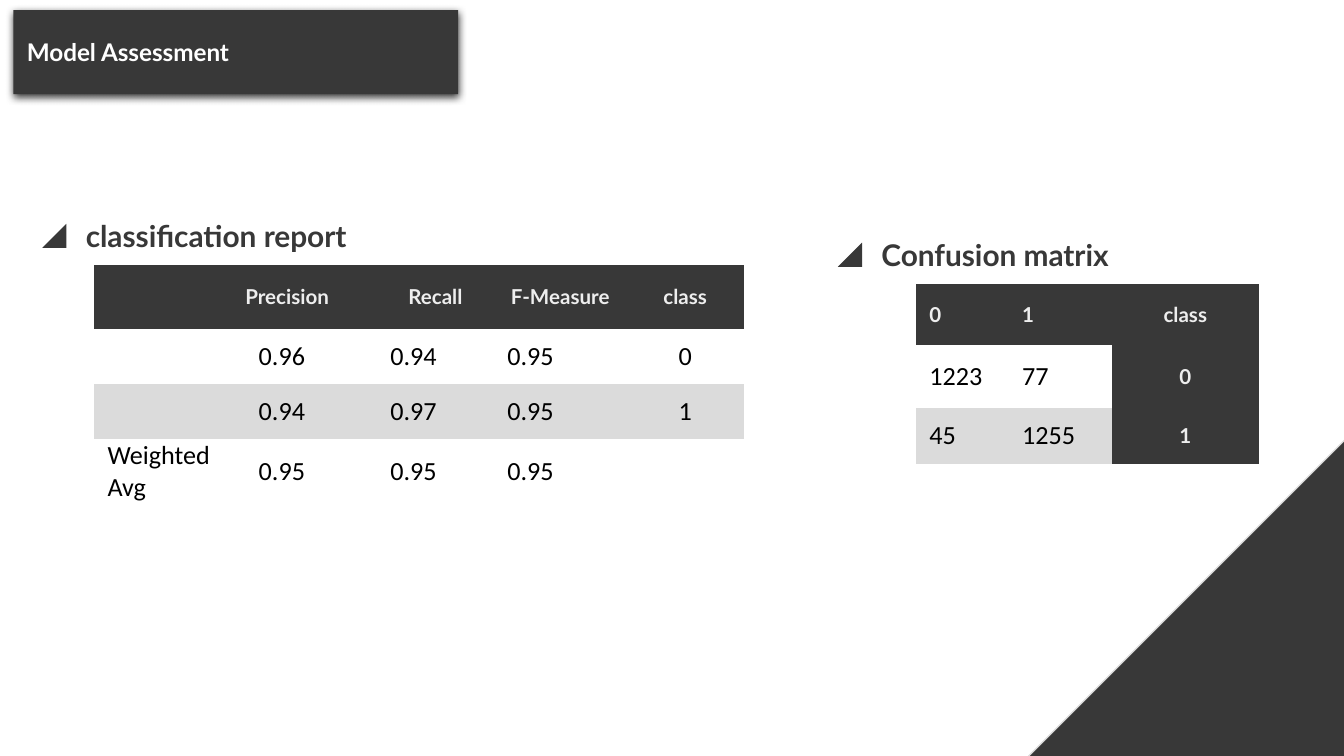
from lxml import etree
from pptx import Presentation
from pptx import util as u
from pptx.dml.color import RGBColor
from pptx.enum import shapes, text
from pptx.oxml import parse_xml
from pptx.oxml.ns import nsdecls, qn

# The slide is a grid of 100 columns by 56.25 rows, each a tenth of an inch
COLUMNS, ROWS = 100, 56.25
DARK, BAND, WHITE = "383838", "DBDBDB", "FFFFFF"
LEFT, CENTER = text.PP_ALIGN.LEFT, text.PP_ALIGN.CENTER
HEADER = dict(size=11, font="Lato", color="EEEEEE", bold=True)
BODY = dict(size=14, font="Calibri", color="000000")
HEADING = dict(size=16, font="Lato", color=DARK, bold=True)
NO_GRID_STYLE = "{2D5ABB26-0587-4C30-8999-92F81FD0307C}"


def grid(*steps):
    return [u.Inches(step / 10) for step in steps]


def rgb(value):
    return RGBColor.from_string(value)


def fill(item, color):
    item.fill.solid()
    item.fill.fore_color.rgb = rgb(color)


def write(frame, content, size, font, color, bold=False, align=LEFT):
    """Fill a text frame, one paragraph for each line of the content."""
    for index, line in enumerate(content.split("\n")):
        para = frame.add_paragraph() if index else frame.paragraphs[0]
        para.alignment = align
        span = para.add_run()
        span.text = line
        span.font.size = u.Pt(size)
        span.font.name = font
        span.font.bold = bold
        span.font.color.rgb = rgb(color)


def set_insets(item, left=1, top=1, right=1, bottom=1):
    (item.margin_left, item.margin_top,
     item.margin_right, item.margin_bottom) = grid(left, top, right, bottom)


def add_corner(page, left, top, side, outline=None):
    """Right triangle with its right angle at the bottom right."""
    corner = page.shapes.add_shape(
        shapes.MSO_SHAPE.RIGHT_TRIANGLE, *grid(left, top, side, side))
    corner.element.spPr.get_or_add_xfrm().set("flipH", "1")
    corner.shadow.inherit = False
    fill(corner, DARK)
    if outline:
        corner.line.color.rgb = rgb(outline)
        corner.line.width = u.Pt(0.75)
    else:
        corner.line.fill.background()


def add_title(page, content):
    box = page.shapes.title
    box.left, box.top, box.width, box.height = grid(1, 0.75, 33.1, 6.25)
    # Slightly rounded corners
    properties = box.element.spPr
    properties.insert(1, parse_xml(
        f'<a:prstGeom {nsdecls("a")} prst="roundRect"><a:avLst>'
        '<a:gd name="adj" fmla="val 2500"/></a:avLst></a:prstGeom>'))
    fill(box, DARK)
    # Soft shadow straight below
    effects = etree.SubElement(properties, qn("a:effectLst"))
    shadow = etree.SubElement(
        effects, qn("a:outerShdw"), blurRad=str(u.Pt(4.5)),
        dist=str(u.Pt(1.5)), dir="5400000", algn="bl", rotWithShape="0")
    etree.SubElement(shadow, qn("a:srgbClr"), val=DARK)

    frame = box.text_frame
    frame.word_wrap = True
    frame.auto_size = text.MSO_AUTO_SIZE.NONE
    frame.vertical_anchor = text.MSO_ANCHOR.MIDDLE
    set_insets(frame)
    write(frame, content, size=13, font="Lato", color=WHITE, bold=True)


def add_heading(page, content, left, top, width):
    """Section heading with its triangle marker on the left."""
    box = page.shapes.add_textbox(*grid(left, top, width, 3.2))
    box.text_frame.word_wrap = True
    set_insets(box.text_frame)
    write(box.text_frame, content, **HEADING)
    add_corner(page, left - 2.25, top + 1.45, 1.8)


def add_data_table(page, left, top, widths, heights, rows, centered, dark_column=None):
    """Banded table with a dark header row and, if given, a dark column."""
    frame = page.shapes.add_table(
        len(rows), len(widths), *grid(left, top, sum(widths), sum(heights)))
    table = frame.table
    # Plain style without grid lines
    frame.element.find(".//" + qn("a:tableStyleId")).text = NO_GRID_STYLE
    for column, width in zip(table.columns, grid(*widths)):
        column.width = width
    for row, height in zip(table.rows, grid(*heights)):
        row.height = height
    for r, values in enumerate(rows):
        for c, value in enumerate(values):
            cell = table.cell(r, c)
            dark = r == 0 or c == dark_column
            fill(cell, DARK if dark else BAND if r == 2 else WHITE)
            cell.vertical_anchor = text.MSO_ANCHOR.MIDDLE
            set_insets(cell, top=0, bottom=0)
            if value:
                align = CENTER if (r, c) in centered else LEFT
                write(cell.text_frame, value, align=align,
                      **(HEADER if dark else BODY))
    return table


def main():
    deck = Presentation()
    deck.slide_width, deck.slide_height = grid(COLUMNS, ROWS)
    page = deck.slides.add_slide(deck.slide_layouts[5])

    # Corner decoration and title
    add_corner(page, 63.5, 16.8, 52.5, outline=BAND)
    add_title(page, "Model Assessment")

    # Classification report
    report = add_data_table(
        page, 7, 19.7, [11.25, 9.8, 8.7, 9.9, 8.7], [4.75, 4.15, 4.1, 4.1],
        [["", "Precision", "Recall", "F-Measure", "class"],
         ["", "0.96", "0.94", "0.95", "0"],
         ["", "0.94", "0.97", "0.95", "1"],
         ["Weighted\nAvg", "0.95", "0.95", "0.95", ""]],
        centered={(0, 2), (0, 3), (0, 4), (1, 4), (2, 4)})
    set_insets(report.cell(0, 1), left=0, top=0, bottom=0)
    set_insets(report.cell(0, 3), 0, 0, 0, 0)
    add_heading(page, "classification report", 5.4, 15.2, 34.7)

    # Confusion matrix
    add_data_table(
        page, 68.15, 21.1, [6.9, 7.7, 10.9], [4.55, 4.7, 4.2],
        [["0", "1", "class"],
         ["1223", "77", "0"],
         ["45", "1255", "1"]],
        centered={(0, 2), (1, 2), (2, 2)}, dark_column=2)
    add_heading(page, "Confusion matrix", 64.6, 16.6, 27.2)

    deck.save("out.pptx")


if __name__ == "__main__":
    main()
